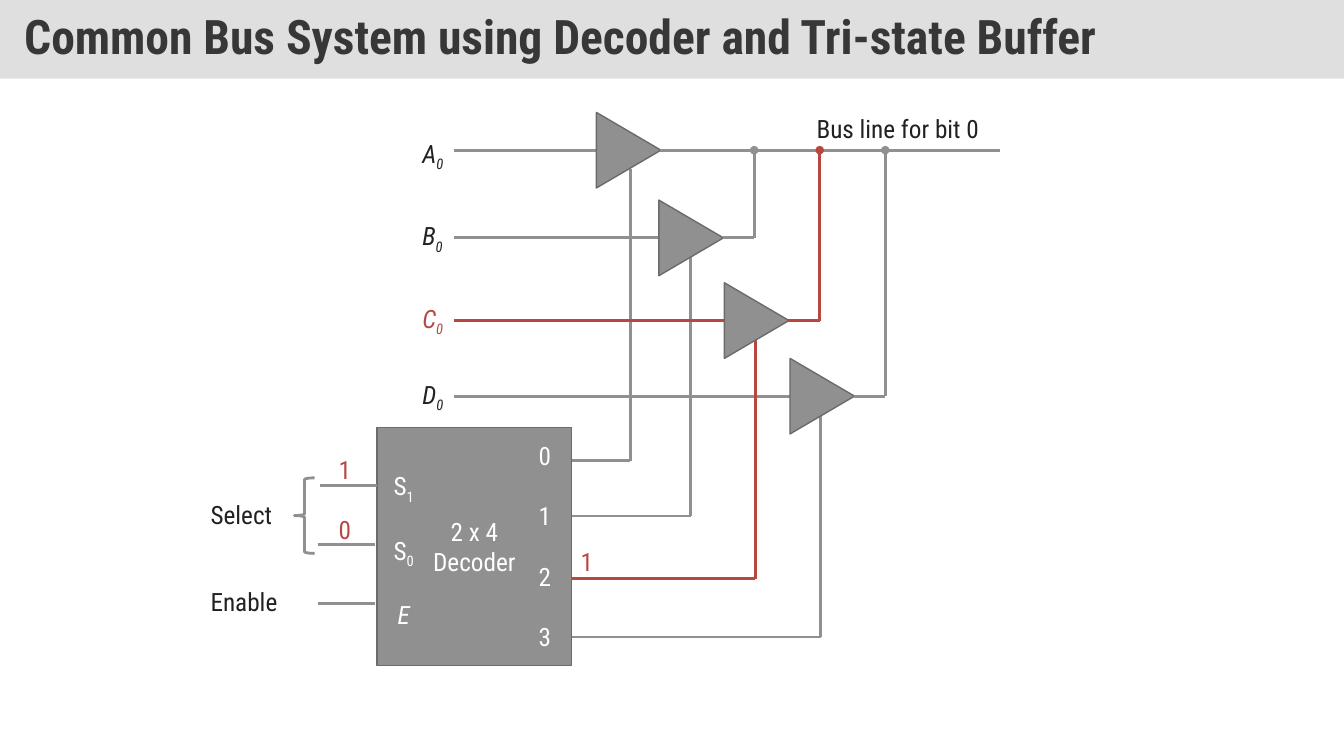
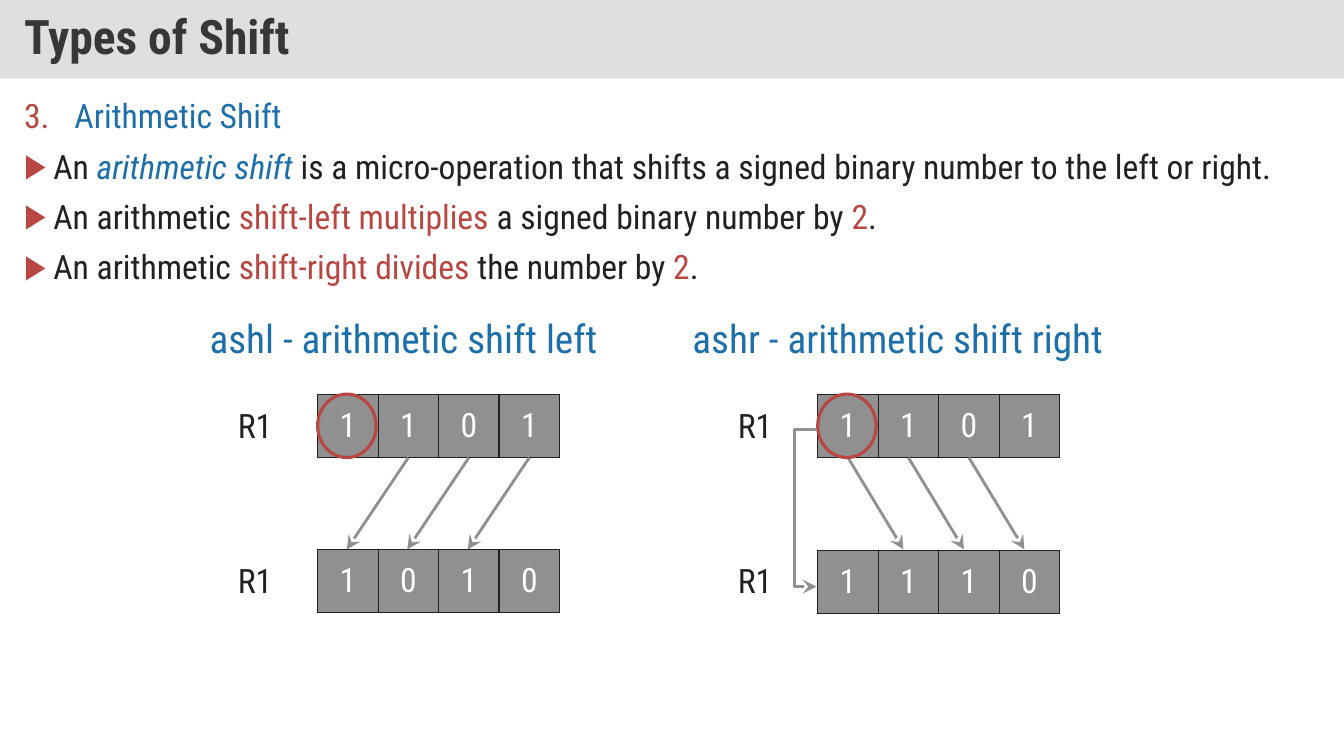
"""Build two slides: a decoder driven bus system and the arithmetic shifts."""
from dataclasses import dataclass
from itertools import pairwise
from typing import Any, NamedTuple

from lxml import etree
from pptx import Presentation
from pptx.dml.color import RGBColor
from pptx.enum.shapes import MSO_CONNECTOR, MSO_SHAPE
from pptx.enum.text import MSO_ANCHOR, PP_ALIGN
from pptx.oxml.ns import qn
from pptx.util import Inches, Pt

RECT, OVAL = MSO_SHAPE.RECTANGLE, MSO_SHAPE.OVAL
WEDGE, BRACE = MSO_SHAPE.ISOSCELES_TRIANGLE, MSO_SHAPE.LEFT_BRACE
STRAIGHT = MSO_CONNECTOR.STRAIGHT
MIDDLE = MSO_ANCHOR.MIDDLE
LEFT, CENTER, JUSTIFY = PP_ALIGN.LEFT, PP_ALIGN.CENTER, PP_ALIGN.JUSTIFY


@dataclass(frozen=True)
class Theme:
    font: str = "Roboto Condensed"
    band: str = "C0C0C0"
    title: str = "373737"
    ink: str = "212121"
    gray: str = "909090"
    edge: str = "6B6B6B"
    red: str = "B84742"
    blue: str = "1D6FA9"
    white: str = "FFFFFF"
    label: int = 18
    body: int = 24
    panel: int = 28
    head: int = 34
    wire: float = 2


T = Theme()


class Run(NamedTuple):
    text: str
    color: str = T.ink
    size: int = T.label
    bold: bool = False
    italic: bool = False
    sub: bool = False


class Box(NamedTuple):
    left: float
    top: float
    width: float
    height: float


class Gate(NamedTuple):
    name: str
    left: float
    mid: float
    drop: float
    pin: float
    tap: float
    color: str = T.gray


class Panel(NamedTuple):
    title: str
    start: float
    width: float
    left: float
    lower: float
    bits: str
    after: str
    first: int
    shift: float


GATES = [
    Gate("A", 5.86, 1.49, 6.25, 4.57, 9.92),
    Gate("B", 6.48, 2.36, 6.85, 5.12, 7.48),
    Gate("C", 7.13, 3.18, 7.49, 5.74, 8.13, T.red),
    Gate("D", 7.78, 3.93, 8.14, 6.32, 8.78),
]
PANELS = [
    Panel("ashl - arithmetic shift left", 1.98, 4.2, 3.15, 5.45, "1101", "1010", 1, -0.61),
    Panel("ashr - arithmetic shift right", 6.77, 4.46, 8.11, 5.46, "1101", "1110", 0, 0.55),
]
BUS, CELL, TALL, UPPER = 1.49, 0.6, 0.63, 3.91


def rgb(code: str) -> RGBColor:
    return RGBColor.from_string(code)


def apply(target: Any, **values: Any) -> None:
    for name, value in values.items():
        setattr(target, name, value)


def write(para: Any, runs: list[Run], **values: Any) -> None:
    apply(para, **values)
    for item in runs:
        run = para.add_run()
        run.text = item.text
        apply(run.font, name=T.font, size=Pt(item.size), bold=item.bold,
              italic=item.italic)
        run.font.color.rgb = rgb(item.color)
        if item.sub:
            run._r.get_or_add_rPr().set("baseline", "-25000")


def fill_text(frame: Any, rows: list[list[Run]], align: Any = LEFT, gap: float = 0) -> None:
    for index, runs in enumerate(rows):
        para = frame.add_paragraph() if index else frame.paragraphs[0]
        write(para, runs, alignment=align, space_before=Pt(gap if index else 0))


def label(slide: Any, box: Box, rows: list[list[Run]], align: Any = LEFT,
          gap: float = 0) -> None:
    frame = slide.shapes.add_textbox(*map(Inches, box)).text_frame
    frame.word_wrap = False
    fill_text(frame, rows, align, gap)


def shape(slide: Any, kind: Any, box: Box, fill: str | None = None,
          line: str | None = None, width: float = 1) -> Any:
    item = slide.shapes.add_shape(kind, *map(Inches, box))
    item.shadow.inherit = False
    if fill:
        item.fill.solid()
        item.fill.fore_color.rgb = rgb(fill)
    else:
        item.fill.background()
    if line:
        item.line.color.rgb = rgb(line)
        item.line.width = Pt(width)
    else:
        item.line.fill.background()
    return item


def wire(slide: Any, points: list[tuple[float, float]], color: str = T.gray,
         tail: str = "", size: str = "med") -> None:
    for start, end in pairwise(points):
        line = slide.shapes.add_connector(STRAIGHT, *map(Inches, start + end))
        line.line.color.rgb = rgb(color)
        line.line.width = Pt(T.wire)
        props = line._element.spPr
        if tail and end == points[-1]:
            etree.SubElement(props.find(qn("a:ln")), qn("a:tailEnd"), type=tail,
                             w=size, len=size)
        etree.SubElement(props, qn("a:effectLst"))


def start(deck: Any, title: str) -> Any:
    slide = deck.slides.add_slide(deck.slide_layouts[6])
    band = shape(slide, RECT, Box(0, 0, 13.33, 0.78), T.band)
    color = band._element.spPr.find(qn("a:solidFill"))[0]
    etree.SubElement(color, qn("a:alpha"), val="50000")
    frame = band.text_frame
    apply(frame, vertical_anchor=MIDDLE, margin_left=Inches(0.24),
          margin_right=Inches(0.24), margin_top=Inches(0.12),
          margin_bottom=Inches(0.12))
    write(frame.paragraphs[0], [Run(title, T.title, T.head, bold=True)],
          alignment=LEFT, line_spacing=0.9)
    return slide


def draw_gate(slide: Any, gate: Gate) -> None:
    mid = gate.mid
    wire(slide, [(5.67, gate.pin), (gate.drop, gate.pin), (gate.drop, mid + 0.19)],
         gate.color)
    wire(slide, [(4.5, mid), (gate.left + 0.06, mid)], gate.color)
    shape(slide, WEDGE, Box(gate.left, mid - 0.32, 0.75, 0.64), T.gray,
          T.edge).rotation = 90
    points = [(gate.left + 0.69, mid), (gate.tap, mid)]
    if mid > BUS:
        wire(slide, points + [(gate.tap, BUS)], gate.color, "oval")
    else:
        wire(slide, points, gate.color)
    ink = T.ink if gate.color == T.gray else gate.color
    top = mid - (0.22 if mid > BUS else 0.17)
    label(slide, Box(4.09, top, 0.43, 0.4),
          [[Run(gate.name, ink, italic=True), Run("0", ink, italic=True, sub=True)]])


def bus_slide(deck: Any) -> None:
    slide = start(deck, "Common Bus System using Decoder and Tri-state Buffer")
    block = shape(slide, RECT, Box(3.74, 4.24, 1.93, 2.36), T.gray, T.edge)
    block.text_frame.vertical_anchor = MIDDLE
    fill_text(block.text_frame,
              [[Run(text, T.white)] for text in ("2 x 4", "Decoder")], CENTER)
    label(slide, Box(5.14, 4.32, 0.53, 2.22),
          [[Run(digit, T.white)] for digit in "0123"], CENTER, 21.5)
    pins = [[Run("S", T.white), Run(digit, T.white, sub=True)] for digit in "10"]
    label(slide, Box(3.74, 4.62, 0.53, 1.62),
          pins + [[Run("E", T.white, italic=True)]], CENTER, 21.5)
    for left, top in ((3.17, 4.82), (3.15, 5.4), (3.15, 5.99)):
        wire(slide, [(left, top), (left + 0.57, top)])
    shape(slide, BRACE, Box(2.92, 4.74, 0.2, 0.75), None, T.gray, T.wire)
    for gate in sorted(GATES, key=lambda gate: gate.color == T.red):
        draw_gate(slide, gate)
    for text, left, top, width, color in (
        ("Select", 1.99, 4.9, 0.82, T.ink),
        ("Enable", 1.99, 5.77, 0.9, T.ink),
        ("Bus line for bit 0", 8, 1.08, 1.88, T.ink),
        ("1", 3.26, 4.46, 0.33, T.red),
        ("0", 3.26, 5.05, 0.33, T.red),
        ("1", 5.66, 5.37, 0.33, T.red),
    ):
        label(slide, Box(left, top, width, 0.4), [[Run(text, color)]])


def bullet(para: Any, mark: str, indent: float) -> None:
    props = para._p.get_or_add_pPr()
    props.set("marL", str(Inches(indent)))
    props.set("indent", str(-Inches(indent)))
    color = etree.SubElement(props, qn("a:buClr"))
    etree.SubElement(color, qn("a:srgbClr"), val=T.red)
    etree.SubElement(props, qn("a:buFont"), typeface=T.font)
    if mark:
        etree.SubElement(props, qn("a:buChar"), char=mark)
    else:
        etree.SubElement(props, qn("a:buAutoNum"), type="arabicPeriod", startAt="3")


def add_notes(slide: Any) -> None:
    lines = [
        [("Arithmetic Shift", T.blue)],
        [("An ", T.ink), ("arithmetic shift", T.blue),
         (" is a micro-operation that shifts a signed binary number"
          " to the left or right.", T.ink)],
        [("An arithmetic ", T.ink), ("shift-left multiplies ", T.red),
         ("a signed binary number by ", T.ink), ("2", T.red), (".", T.ink)],
        [("An arithmetic ", T.ink), ("shift-right divides ", T.red),
         ("the number by ", T.ink), ("2", T.red), (".", T.ink)],
    ]
    frame = slide.shapes.add_textbox(*map(Inches, Box(0.14, 0.94, 13.05, 2.12))).text_frame
    frame.word_wrap = True
    for index, line in enumerate(lines):
        para = frame.add_paragraph() if index else frame.paragraphs[0]
        bullet(para, "▶" if index else "", 0.29 if index else 0.5)
        runs = [Run(text, color, T.body, italic=text == "arithmetic shift")
                for text, color in line]
        write(para, runs, alignment=JUSTIFY, line_spacing=0.9,
              space_before=Pt(10 if index else 0))


def add_bits(slide: Any, left: float, top: float, bits: str) -> None:
    box = Box(left, top, CELL * len(bits), TALL)
    table = slide.shapes.add_table(1, len(bits), *map(Inches, box)).table
    apply(table, first_row=False, horz_banding=False)
    for index, bit in enumerate(bits):
        table.columns[index].width = Inches(CELL)
        cell = table.cell(0, index)
        cell.vertical_anchor = MIDDLE
        props = cell._tc.get_or_add_tcPr()
        for side in ("lnL", "lnR", "lnT", "lnB"):
            edge = etree.SubElement(props, qn(f"a:{side}"), w=str(Pt(1)))
            solid = etree.SubElement(edge, qn("a:solidFill"))
            etree.SubElement(solid, qn("a:srgbClr"), val=T.ink)
        cell.fill.solid()
        cell.fill.fore_color.rgb = rgb(T.gray)
        write(cell.text_frame.paragraphs[0], [Run(bit, T.white, T.body)],
              alignment=CENTER)


def draw_panel(slide: Any, panel: Panel) -> None:
    label(slide, Box(panel.start, 3.07, panel.width, 0.57),
          [[Run(panel.title, T.blue, T.panel)]])
    add_bits(slide, panel.left, UPPER, panel.bits)
    for index, bit in enumerate(panel.after):
        add_bits(slide, panel.left + CELL * index, panel.lower, bit)
    for top in (3.97, 5.51):
        label(slide, Box(panel.left - 0.89, top, 0.55, 0.5),
              [[Run("R1", size=T.body)]])
    for index in range(panel.first, panel.first + 3):
        mid = panel.left + CELL * (index + 0.5)
        wire(slide, [(mid, UPPER + TALL), (mid + panel.shift, 5.45)],
             tail="stealth", size="lg")
    shape(slide, OVAL, Box(panel.left, UPPER, 0.58, TALL), None, T.red, 2.25)


def shift_slide(deck: Any) -> None:
    slide = start(deck, "Types of Shift")
    add_notes(slide)
    for panel in PANELS:
        draw_panel(slide, panel)
    wire(slide, [(8.1, 4.26), (7.88, 4.26), (7.88, 5.82), (8.1, 5.82)],
         tail="stealth", size="lg")


def main() -> None:
    deck = Presentation()
    apply(deck, slide_width=Inches(13.33), slide_height=Inches(7.5))
    bus_slide(deck)
    shift_slide(deck)
    deck.save("out.pptx")


if __name__ == "__main__":
    main()
